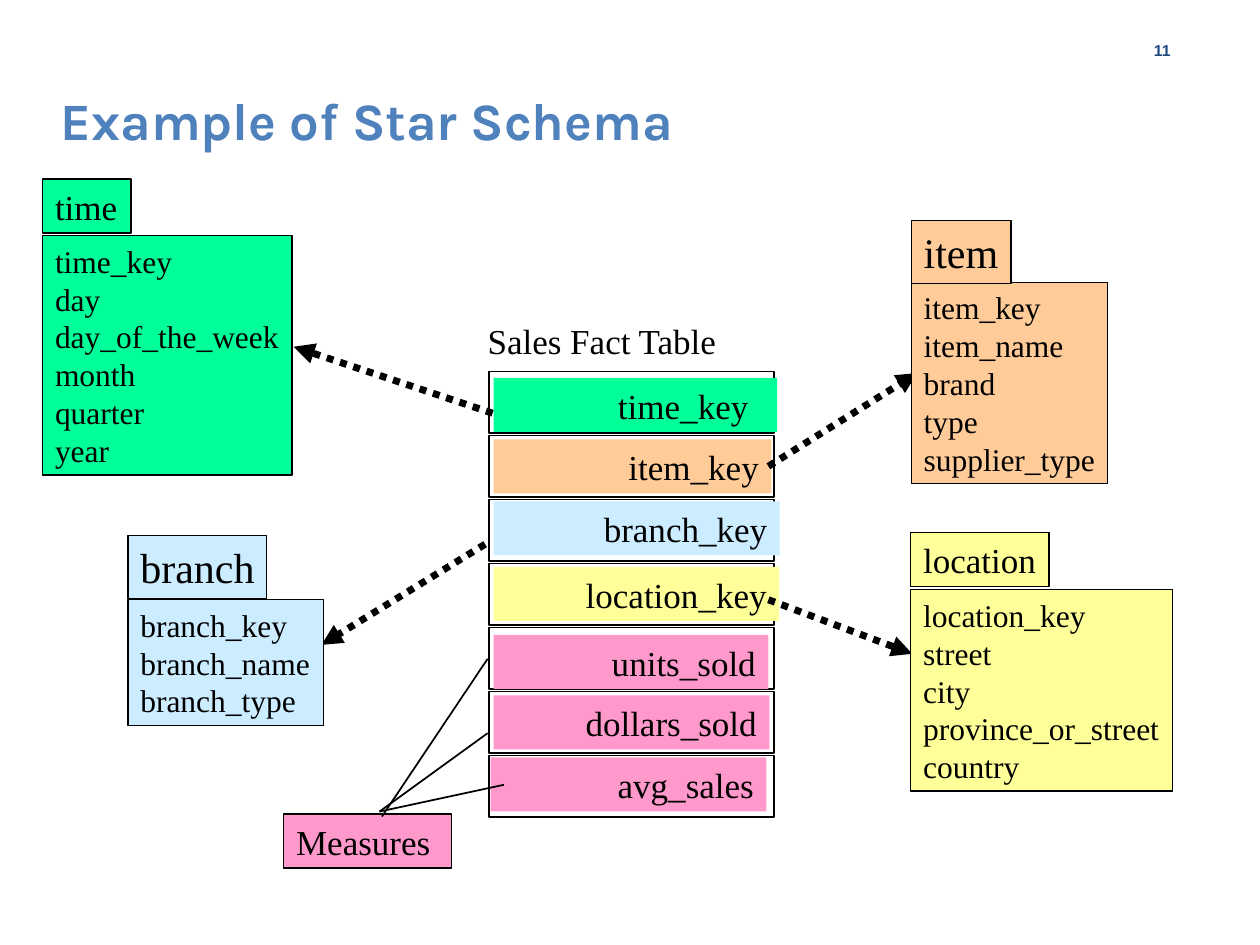
from typing import NamedTuple

from lxml import etree
from pptx import Presentation
from pptx import util as u
from pptx.dml.color import RGBColor
from pptx.enum import dml, shapes, text
from pptx.oxml.ns import qn

SERIF = "Times New Roman"
BLACK, GREEN, ORANGE = "000000", "00FF99", "FFCC99"
BLUE, YELLOW, PINK = "CCECFF", "FFFF99", "FF99CC"
LEFT, CENTER, RIGHT = text.PP_ALIGN.LEFT, text.PP_ALIGN.CENTER, text.PP_ALIGN.RIGHT


class Dimension(NamedTuple):
    name: str
    columns: list[str]
    color: str
    left: float
    name_top: float
    name_width: float
    name_height: float
    name_size: int
    top: float
    width: float
    height: float


class FactColumn(NamedTuple):
    name: str
    color: str
    left: float
    top: float
    width: float
    right_inset: float = 0.25


class Link(NamedTuple):
    x1: float
    y1: float
    x2: float
    y2: float


DIMENSIONS = [
    Dimension("time", ["time_key", "day", "day_of_the_week", "month", "quarter", "year"],
              GREEN, 0.86, 3.61, 1.78, 1.09, 20, 4.75, 5.03, 4.83),
    Dimension("location", ["location_key", "street", "city", "province_or_street", "country"],
              YELLOW, 18.36, 10.74, 2.79, 1.09, 20, 11.89, 5.28, 4.06),
    Dimension("item", ["item_key", "item_name", "brand", "type", "supplier_type"],
              ORANGE, 18.37, 4.45, 2.01, 1.27, 24, 5.69, 3.96, 4.06),
    Dimension("branch", ["branch_key", "branch_name", "branch_type"],
              BLUE, 2.58, 10.8, 2.79, 1.27, 24, 12.09, 3.94, 2.54),
]
FACT_COLUMNS = [
    FactColumn("time_key", GREEN, 9.95, 7.62, 5.72, 0.58),
    FactColumn("item_key", ORANGE, 9.95, 8.86, 5.6),
    FactColumn("branch_key", BLUE, 9.95, 10.11, 5.77),
    FactColumn("location_key", YELLOW, 9.95, 11.43, 5.76),
    FactColumn("units_sold", PINK, 9.95, 12.8, 5.54),
    FactColumn("dollars_sold", PINK, 9.95, 14.02, 5.56),
    FactColumn("avg_sales", PINK, 9.89, 15.27, 5.56),
]
MEASURE_LINES = [
    Link(7.7, 16.46, 9.83, 13.28),
    Link(7.65, 16.36, 9.83, 14.78),
    Link(7.65, 16.36, 10.16, 15.82),
]
KEY_ARROWS = [
    Link(9.78, 10.97, 6.48, 13),
    Link(9.93, 8.33, 5.92, 6.99),
    Link(15.49, 12.09, 18.39, 13.18),
    Link(15.49, 9.4, 18.49, 7.52),
]
FACT_LEFT, FACT_TOP, FACT_WIDTH = 9.86, 7.49, 5.74
ROW_HEIGHT, ROW_PITCH = 1.24, 1.29


def rgb(color: str) -> RGBColor:
    return RGBColor.from_string(color)


def write(shape, lines: list[str], size: int, align=LEFT, font: str = SERIF,
          color: str = BLACK, bold: bool = False, wrap: bool = False,
          anchor=text.MSO_ANCHOR.TOP) -> None:
    frame = shape.text_frame
    frame.auto_size = text.MSO_AUTO_SIZE.NONE
    frame.word_wrap = wrap
    frame.vertical_anchor = anchor
    for index, line in enumerate(lines):
        paragraph = frame.add_paragraph() if index else frame.paragraphs[0]
        paragraph.alignment = align
        run = paragraph.add_run()
        run.text = line
        run.font.name = font
        run.font.size = u.Pt(size)
        run.font.bold = bold
        run.font.color.rgb = rgb(color)


def add_box(slide, left: float, top: float, width: float, height: float,
            fill: str | None = None, line_width: float | None = None):
    box = slide.shapes.add_shape(shapes.MSO_SHAPE.RECTANGLE, u.Cm(left), u.Cm(top),
                                 u.Cm(width), u.Cm(height))
    box.shadow.inherit = False
    if fill:
        box.fill.solid()
        box.fill.fore_color.rgb = rgb(fill)
    else:
        box.fill.background()
    if line_width:
        box.line.color.rgb = rgb(BLACK)
        box.line.width = u.Pt(line_width)
    else:
        box.line.fill.background()
    return box


def add_label(slide, left: float, top: float, width: float, height: float):
    return slide.shapes.add_textbox(u.Cm(left), u.Cm(top), u.Cm(width), u.Cm(height))


def add_dimension(slide, dim: Dimension) -> None:
    table = add_box(slide, dim.left, dim.top, dim.width, dim.height, dim.color, 0.75)
    write(table, dim.columns, 18)
    heading = add_box(slide, dim.left, dim.name_top, dim.name_width, dim.name_height,
                      dim.color, 0.75)
    write(heading, [dim.name], dim.name_size)


def add_fact_column(slide, row: int, column: FactColumn) -> None:
    add_box(slide, FACT_LEFT, FACT_TOP + row * ROW_PITCH, FACT_WIDTH, ROW_HEIGHT, line_width=1)
    bar = add_box(slide, column.left, column.top, column.width, 1.09, column.color)
    bar.text_frame.margin_right = u.Cm(column.right_inset)
    write(bar, [column.name], 20, RIGHT, wrap=True)


def add_link(slide, link: Link, width: float, arrow: bool = False) -> None:
    line = slide.shapes.add_connector(shapes.MSO_CONNECTOR.STRAIGHT, *map(u.Cm, link))
    line.line.color.rgb = rgb(BLACK)
    line.line.width = u.Pt(width)
    if arrow:
        line.line.dash_style = dml.MSO_LINE.ROUND_DOT
        outline = line.line._get_or_add_ln()
        etree.SubElement(outline, qn("a:tailEnd"), type="triangle")
    etree.SubElement(line._element.spPr, qn("a:effectLst"))


def main() -> None:
    deck = Presentation()
    deck.slide_width, deck.slide_height = u.Cm(25.4), u.Cm(19.05)
    slide = deck.slides.add_slide(deck.slide_layouts[5])

    title = slide.shapes.title
    title.left, title.top, title.width, title.height = map(u.Cm, (0.84, 1.8, 20.07, 1.22))
    title.text_frame.margin_left = u.Cm(0.38)
    title.text_frame.margin_right = 0
    write(title, ["Example of Star Schema"], 30, font="Karla", color="4F81BD", bold=True,
          wrap=True, anchor=text.MSO_ANCHOR.MIDDLE)
    page_number = add_label(slide, 22.73, 0.48, 1.4, 0.84)
    write(page_number, ["11"], 9, CENTER, "Arial", "1F497D", True, True,
          text.MSO_ANCHOR.BOTTOM)

    write(add_label(slide, 9.58, 6.32, 5.18, 1.09), ["Sales Fact Table"], 20)
    for row, column in enumerate(FACT_COLUMNS):
        add_fact_column(slide, row, column)
    measures = add_box(slide, 5.72, 16.41, 3.38, 1.09, PINK, 0.75)
    write(measures, ["Measures"], 20, wrap=True)

    for link in MEASURE_LINES:
        add_link(slide, link, 1)
    for link in KEY_ARROWS:
        add_link(slide, link, 4, arrow=True)
    for dim in DIMENSIONS:
        add_dimension(slide, dim)
    deck.save("out.pptx")


if __name__ == "__main__":
    main()
